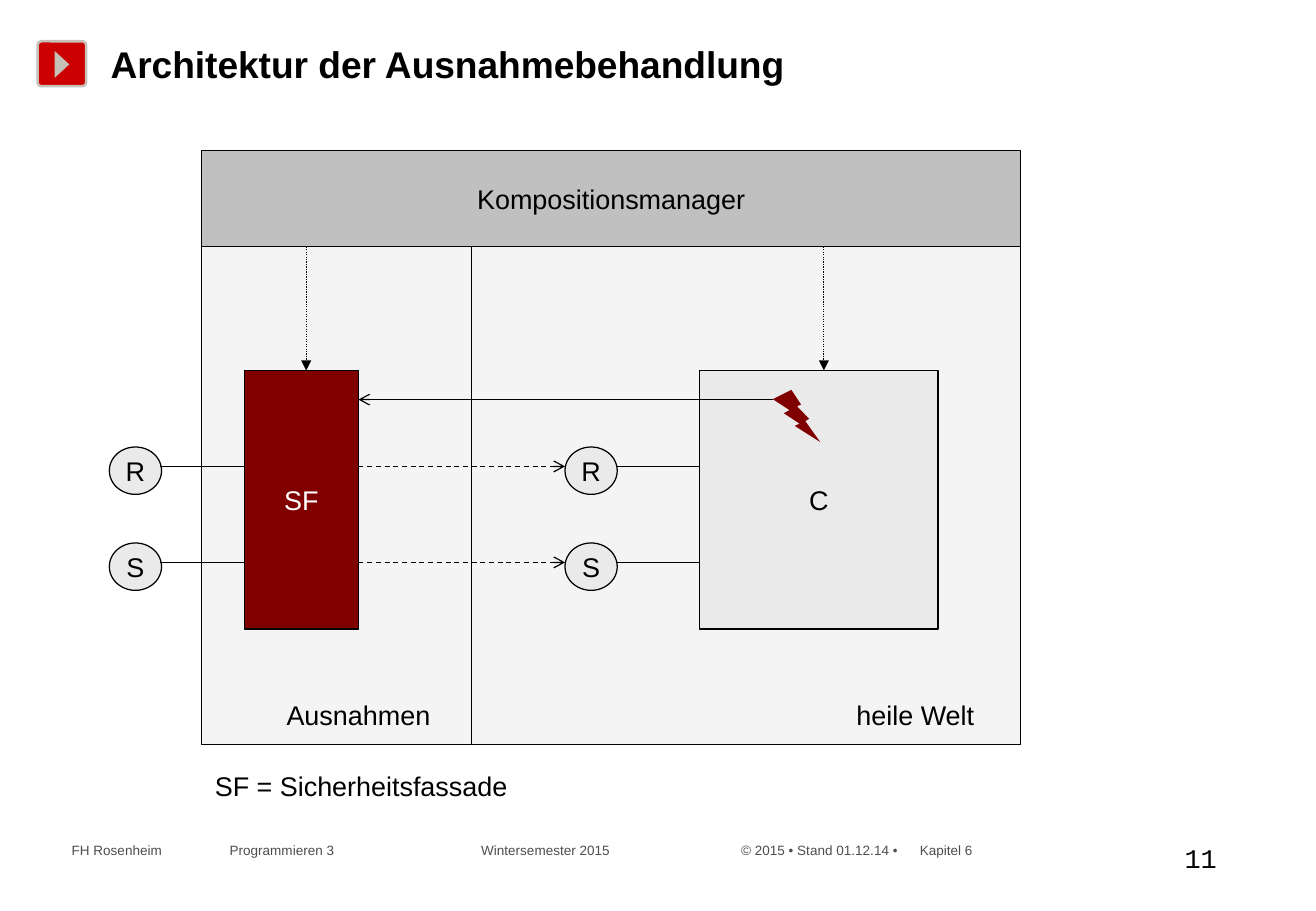
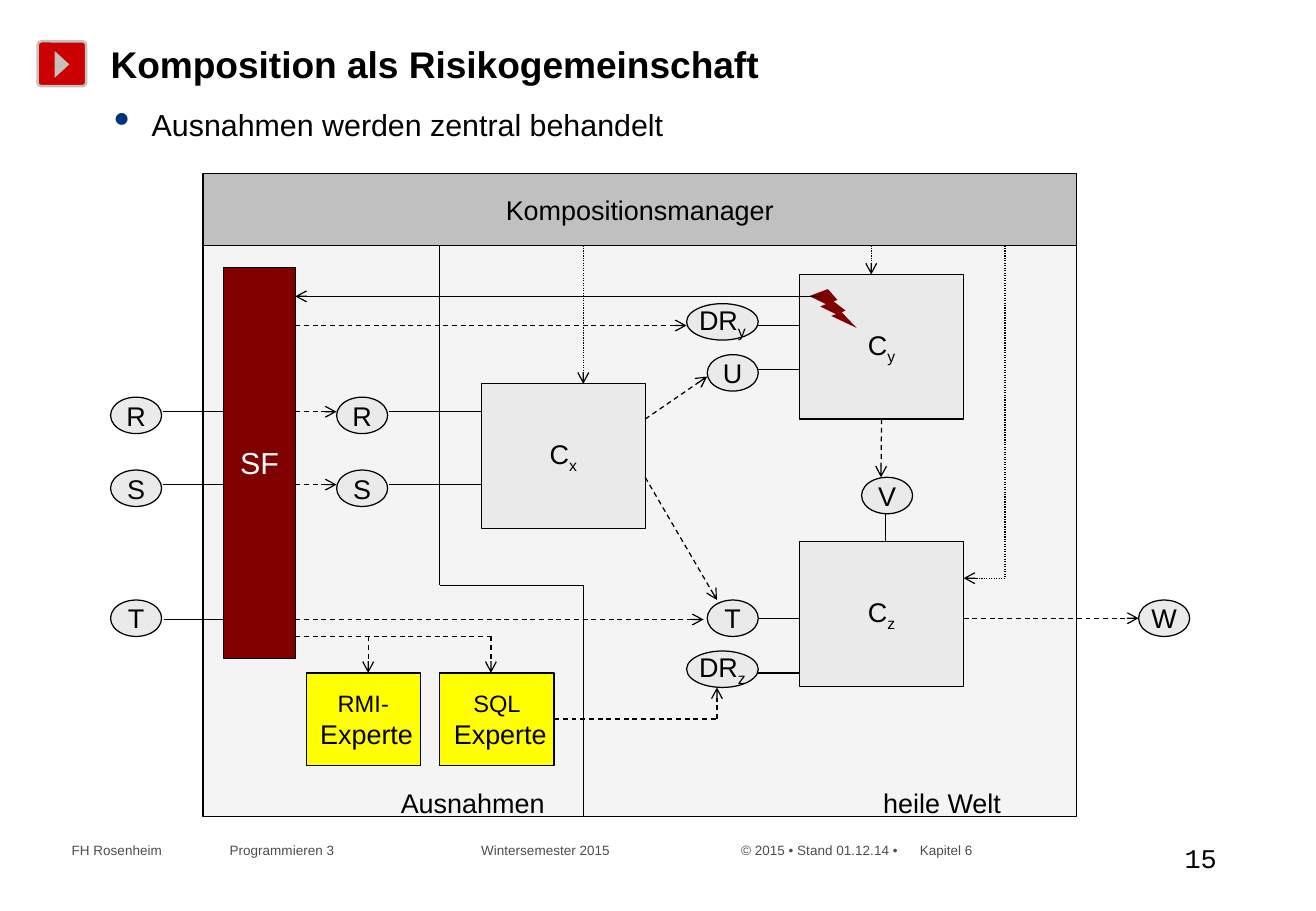
from dataclasses import dataclass
from typing import Any, NamedTuple

import lxml.etree
import pptx
import pptx.dml.color
import pptx.enum.dml
import pptx.enum.shapes
import pptx.enum.text
import pptx.oxml.ns
import pptx.util

# Shared look: 100 px to the inch
SCALE = 9144
RGB = pptx.dml.color.RGBColor
BLACK = RGB(0x00, 0x00, 0x00)
WHITE = RGB(0xFF, 0xFF, 0xFF)
PALE = RGB(0xEA, 0xEA, 0xEA)
SILVER = RGB(0xC0, 0xC0, 0xC0)
STONE = RGB(0xC5, 0xC1, 0xB9)
GREY = RGB(0x4D, 0x4D, 0x4D)
RED = RGB(0xCC, 0x00, 0x00)
MAROON = RGB(0x80, 0x00, 0x00)
YELLOW = RGB(0xFF, 0xFF, 0x00)

FORM = pptx.enum.shapes.MSO_SHAPE
DASH = pptx.enum.dml.MSO_LINE
ALIGN = pptx.enum.text.PP_ALIGN
ANCHOR = pptx.enum.text.MSO_ANCHOR
qn = pptx.oxml.ns.qn

FOOT = ("FH Rosenheim", "Programmieren 3", "Wintersemester 2015",
        "© 2015 • Stand 01.12.14 •", "Kapitel 6")
STOPS = (130, 337, 551, 698)


class Run(NamedTuple):
    text: str
    size: int = 16
    ink: RGB = BLACK
    bold: bool = False
    face: str = "Arial"
    base: int = 0


Rows = tuple[tuple[Run, ...], ...]


class Style(NamedTuple):
    dash: Any = None
    head: str = ""


SOLID = Style()
THROW = Style(head="arrow")
CALL = Style(DASH.DASH, "arrow")
BUS = Style(DASH.DASH)
WIRE = Style(DASH.ROUND_DOT)
WATCH = Style(DASH.ROUND_DOT, "arrow")
HOLD = Style(DASH.ROUND_DOT, "triangle")


@dataclass(frozen=True)
class Box:
    x: int
    y: int
    w: int
    h: int
    rows: Rows = ()
    fill: RGB = PALE
    form: Any = FORM.RECTANGLE
    edge: bool = True
    alpha: int = 100
    tight: bool = False


@dataclass(frozen=True)
class Line:
    x1: int
    y1: int
    x2: int
    y2: int
    style: Style = SOLID
    start: Box | None = None
    side: int = 0


def px(size: int) -> int:
    return pptx.util.Emu(size * SCALE)


def oval(x: int, y: int, w: int, h: int, text: str, sub: str = "") -> Box:
    return Box(x, y, w, h, (label(text, sub),), form=FORM.OVAL)


def label(text: str, sub: str = "") -> tuple[Run, ...]:
    return (Run(text), Run(sub, base=-25)) if sub else (Run(text),)


def write(frame: Any, rows: Rows, align: Any = ALIGN.LEFT) -> None:
    for i, runs in enumerate(rows):
        para = frame.add_paragraph() if i else frame.paragraphs[0]
        para.alignment = align
        for part in runs:
            run = para.add_run()
            run.text = part.text
            font = run.font
            font.name, font.bold = part.face, part.bold
            font.size = pptx.util.Pt(part.size)
            font.color.rgb = part.ink
            if part.base:
                run._r.get_or_add_rPr().set("baseline", str(part.base * 1000))


def note(slide: Any, x: int, y: int, w: int, h: int, *runs: Run, wrap: bool = False) -> Any:
    frame = slide.shapes.add_textbox(px(x), px(y), px(w), px(h)).text_frame
    frame.word_wrap = wrap
    write(frame, (runs,))
    return frame


def add_box(slide: Any, box: Box) -> Any:
    shape = slide.shapes.add_shape(box.form, px(box.x), px(box.y), px(box.w), px(box.h))
    shape.shadow.inherit = False
    shape.fill.solid()
    shape.fill.fore_color.rgb = box.fill
    if box.alpha < 100:
        tint = shape._element.spPr.find(qn("a:solidFill"))[0]
        lxml.etree.SubElement(tint, qn("a:alpha"), val=str(box.alpha * 1000))
    if box.edge:
        shape.line.color.rgb = BLACK
        shape.line.width = pptx.util.Pt(0.75)
    else:
        shape.line.fill.background()
    if box.rows:
        frame = shape.text_frame
        frame.word_wrap = False
        frame.vertical_anchor = ANCHOR.MIDDLE
        if box.tight:
            frame.margin_left = frame.margin_right = 0
            frame.margin_top = frame.margin_bottom = 0
        write(frame, box.rows, ALIGN.CENTER)
    return shape


def add_line(slide: Any, line: Line, shapes: dict[Box, Any]) -> None:
    link = slide.shapes.add_connector(pptx.enum.shapes.MSO_CONNECTOR.STRAIGHT,
                                      px(line.x1), px(line.y1), px(line.x2), px(line.y2))
    if line.start:
        link.begin_connect(shapes[line.start], line.side)
    link.line.color.rgb = BLACK
    link.line.width = pptx.util.Pt(0.75)
    if line.style.dash:
        link.line.dash_style = line.style.dash
    props = link._element.spPr
    if line.style.head:
        lxml.etree.SubElement(props.find(qn("a:ln")), qn("a:tailEnd"), type=line.style.head)
    lxml.etree.SubElement(props, qn("a:effectLst"))


def draw(slide: Any, boxes: list[Box], lines: list[Line]) -> None:
    shapes = {box: add_box(slide, box) for box in boxes}
    for line in lines:
        add_line(slide, line, shapes)


def add_tabs(para: Any, stops: tuple[int, ...]) -> None:
    tabs = lxml.etree.SubElement(para._p.get_or_add_pPr(), qn("a:tabLst"))
    for stop in stops:
        lxml.etree.SubElement(tabs, qn("a:tab"), pos=str(px(stop)), algn="l")


def new_slide(deck: Any, title: str, page: int) -> Any:
    slide = deck.slides.add_slide(deck.slide_layouts[5])
    # Title
    head = slide.shapes.title
    head.left, head.top, head.width, head.height = px(81), px(29), px(625), px(47)
    frame = head.text_frame
    frame.vertical_anchor = ANCHOR.MIDDLE
    frame.auto_size = pptx.enum.text.MSO_AUTO_SIZE.NONE
    write(frame, ((Run(title, 22, bold=True),),))
    # Red button
    plate = add_box(slide, Box(31, 34, 40, 37, fill=RED, form=FORM.ROUNDED_RECTANGLE))
    plate.adjustments[0] = 0.09
    plate.line.color.rgb = STONE
    plate.line.width = pptx.util.Pt(1.5)
    pen = slide.shapes.build_freeform(57, 53, scale=SCALE)
    pen.add_line_segments([(45, 42), (45, 64)], close=True)
    wedge = pen.convert_to_shape()
    wedge.shadow.inherit = False
    wedge.fill.solid()
    wedge.fill.fore_color.rgb = STONE
    wedge.line.fill.background()
    # Footer and page number
    foot = note(slide, 31, 688, 1027, 24, Run("\t".join(FOOT), 8, GREY), wrap=True)
    foot.margin_left = px(28)
    add_tabs(foot.paragraphs[0], STOPS)
    note(slide, 965, 688, 94, 41, Run(str(page), face="Courier New"), wrap=True)
    return slide


def frame_boxes(x: int, y: int, w: int, split: int, end: int) -> list[Box]:
    return [Box(x, split, w, end - split, alpha=50),
            Box(x, y, w, split - y, (label("Kompositionsmanager"),), SILVER)]


def bolt(x: int, y: int, h: int) -> Box:
    return Box(x, y, 39, h, fill=MAROON, form=FORM.LIGHTNING_BOLT, edge=False)


def build_plan(deck: Any) -> None:
    slide = new_slide(deck, "Architektur der Ausnahmebehandlung", 11)
    boxes = frame_boxes(166, 124, 674, 203, 613) + [
        Box(201, 305, 94, 213, ((Run("SF", ink=WHITE),),), MAROON),
        Box(576, 305, 196, 213, (label("C"),)),
        bolt(636, 321, 43)]
    lines = [Line(x, 203, x, 305, HOLD) for x in (252, 678)]
    lines += [Line(388, 203, 388, 613), Line(636, 329, 295, 329, THROW)]
    # Ports on both sides of the facade
    for name, y in (("R", 384), ("S", 463)):
        boxes += [oval(x, y - 16, 43, 39, name) for x in (90, 465)]
        lines += [Line(132, y, 201, y), Line(295, y, 465, y, CALL), Line(507, y, 576, y)]
    draw(slide, boxes, lines)
    note(slide, 695, 570, 118, 37, Run("heile Welt"))
    note(slide, 226, 570, 139, 37, Run("Ausnahmen"))
    note(slide, 167, 629, 261, 37, Run("SF = Sicherheitsfassade"))


def build_group(deck: Any) -> None:
    slide = new_slide(deck, "Komposition als Risikogemeinschaft", 15)
    # Bullet line
    para = note(slide, 84, 86, 829, 51, Run("Ausnahmen werden zentral behandelt", 18),
                wrap=True).paragraphs[0]
    para.line_spacing = 0.9
    props = para._p.get_or_add_pPr()
    props.set("marL", str(px(31)))
    props.set("indent", str(-px(31)))
    tint = lxml.etree.SubElement(props, qn("a:buClr"))
    lxml.etree.SubElement(tint, qn("a:srgbClr"), val="00337F")
    lxml.etree.SubElement(props, qn("a:buSzPct"), val="150000")
    lxml.etree.SubElement(props, qn("a:buChar"), char="•")

    # Parts
    comps = [Box(x, y, 135, 119, (label("C", sub),))
             for x, y, sub in ((396, 316, "x"), (658, 226, "y"), (658, 446, "z"))]
    skills = [Box(x, 554, 94, 76, ((Run(name, 14),), (Run(" ", 14), Run("Experte"))),
                  YELLOW, tight=True) for x, name in ((252, "RMI-"), (362, "SQL"))]
    boxes = frame_boxes(167, 143, 719, 202, 672) + comps + skills + [
        Box(184, 220, 59, 322, ((Run("SF", 18, WHITE),),), MAROON),
        bolt(666, 238, 32)]
    boxes += [oval(x, y, 42, 30, name) for x, y, name in (
        (582, 292, "U"), (582, 494, "T"), (91, 494, "T"), (937, 494, "W"), (709, 393, "V"))]
    boxes += [oval(565, y, 59, 30, "DR", sub) for y, sub in ((250, "y"), (536, "z"))]

    # Zone border and manager links
    lines = [
        Line(362, 202, 362, 482), Line(362, 482, 480, 482), Line(480, 482, 480, 672),
        Line(480, 202, 480, 316, WATCH), Line(717, 202, 717, 226, WATCH),
        Line(827, 202, 827, 476, WIRE), Line(827, 476, 793, 476, WATCH)]
    # Ports and calls
    lines += [Line(624, y, 658, y) for y in (268, 304, 509, 554)]
    lines += [
        Line(729, 422, 729, 446), Line(135, 510, 184, 510),
        Line(675, 244, 243, 244, THROW), Line(243, 268, 565, 268, CALL),
        Line(531, 345, 582, 310, CALL), Line(531, 393, 590, 494, CALL),
        Line(725, 345, 725, 393, CALL, comps[1], 2),
        Line(793, 509, 937, 509, CALL), Line(243, 510, 579, 510, CALL)]
    for name, y in (("R", 339), ("S", 399)):
        boxes += [oval(x, y - 12, 42, 30, name) for x in (91, 277)]
        lines += [Line(134, y, 184, y), Line(243, y, 277, y, CALL), Line(320, y, 396, y)]
    # Expert links
    lines += [Line(243, 524, 404, 524, BUS)]
    lines += [Line(x, 524, x, 554, CALL) for x in (303, 404)]
    lines += [Line(456, 592, 590, 592, BUS, skills[1], 3), Line(590, 592, 590, 566, CALL)]
    draw(slide, boxes, lines)
    note(slide, 717, 643, 118, 33, Run("heile Welt"))
    note(slide, 320, 643, 138, 33, Run("Ausnahmen"))


def main() -> None:
    deck = pptx.Presentation()
    deck.slide_width, deck.slide_height = px(1083), px(750)
    build_plan(deck)
    build_group(deck)
    deck.save("out.pptx")


if __name__ == "__main__":
    main()
